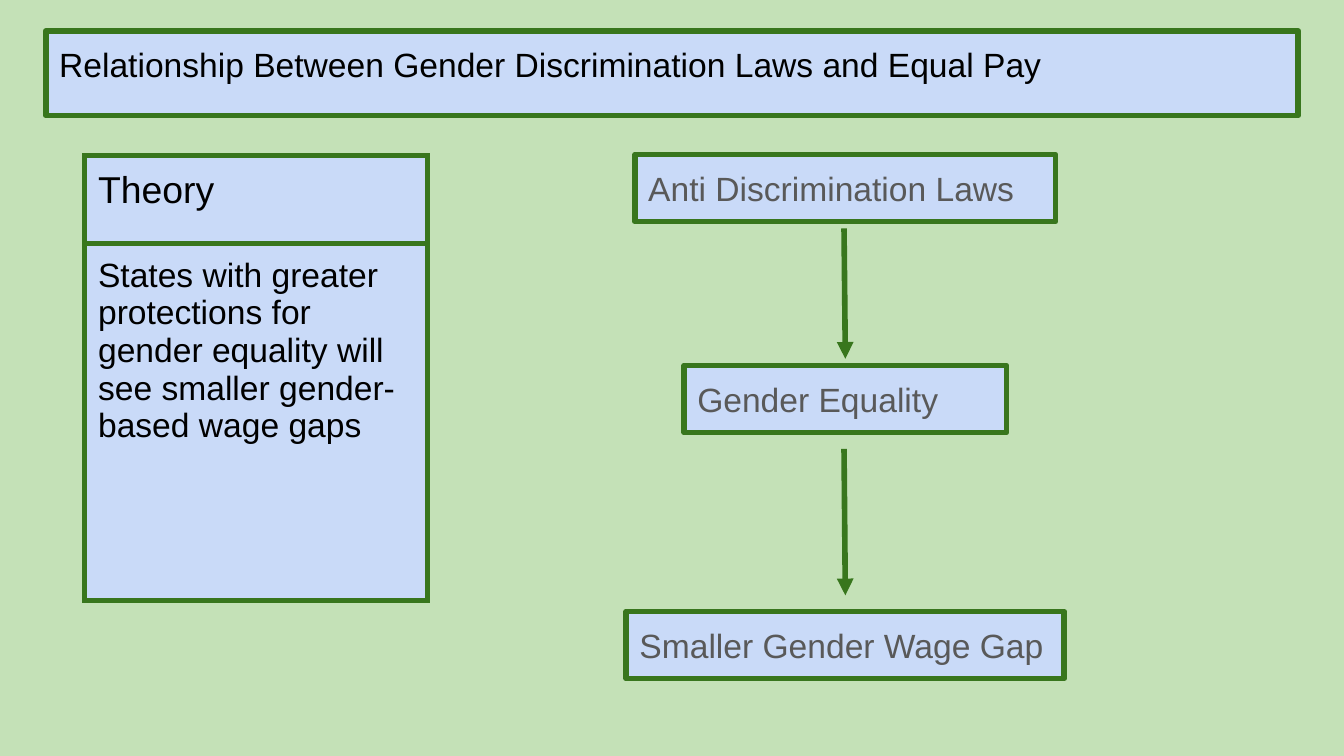
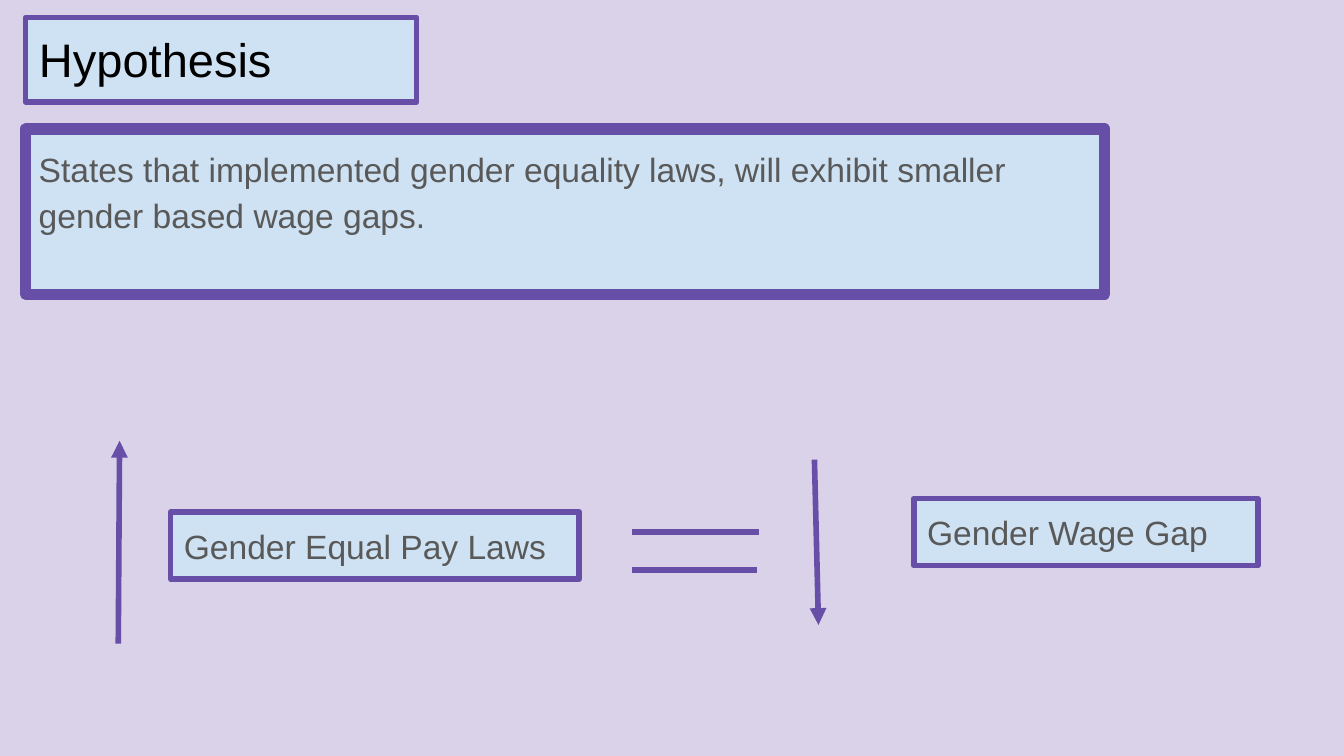
from dataclasses import dataclass

from lxml.etree import SubElement
from pptx import Presentation
from pptx.dml.color import RGBColor
from pptx.enum.shapes import MSO_CONNECTOR
from pptx.enum.text import MSO_ANCHOR, MSO_AUTO_SIZE, PP_ALIGN
from pptx.oxml import parse_xml
from pptx.oxml.ns import nsdecls, qn
from pptx.util import Inches, Pt


@dataclass
class Theme:
    back: str
    fill: str
    edge: str
    ink: str = "000000"
    soft: str = "595959"
    font: str = "Arial"
    text: float = 18
    head: float = 20
    big: float = 25.2
    line: float = 3
    thick: float = 6
    inset: float = 0.1
    high: float = 0.5


GREEN = Theme("C4E1B7", "C9DAF8", "38761D")
PURPLE = Theme("D9D2E9", "CFE2F3", "674EA7")

TOPIC = "Relationship Between Gender Discrimination Laws and Equal Pay"
THEORY = [  # text, height, size
    ("Theory", 0.65, GREEN.head),
    ("States with greater protections for gender equality will see "
     "smaller gender-based wage gaps", 2.66, GREEN.text),
]
MID = 6.29
CHAIN = [  # text, top, width
    ("Anti Discrimination Laws", 1.15, 3.13),
    ("Gender Equality", 2.72, 2.4),
    ("Smaller Gender Wage Gap", 4.55, 3.26),
]
STEPS = [(1.7, 2.67), (3.34, 4.43)]

CLAIM = ("States that implemented gender equality laws, will exhibit smaller "
         "gender based wage gaps.")
TERMS = [  # text, left, top, width
    ("Gender Equal Pay Laws", 1.27, 3.81, 3.04),
    ("Gender Wage Gap", 6.8, 3.71, 2.56),
]
TRENDS = [((0.88, 4.79), (0.89, 3.28)), ((6.06, 3.42), (6.09, 4.65))]
EQUALS = [(3.96, 5.65), (4.24, 5.63)]  # height, right end
EQ_LEFT = 4.7


def rgb(code):
    return RGBColor.from_string(code)


def paint(part, color):
    part.fill.solid()
    part.fill.fore_color.rgb = rgb(color)


def write(frame, text, size, color, theme):
    frame.text = text
    para = frame.paragraphs[0]
    para.alignment = PP_ALIGN.LEFT
    para.font.name = theme.font
    para.font.size = Pt(size)
    para.font.color.rgb = rgb(color)
    return para


def pad(part, theme):
    part.margin_left = part.margin_right = Inches(theme.inset)
    part.margin_top = part.margin_bottom = Inches(theme.inset)


def dress(shape, area, text, size, color, theme, line=None, fit=MSO_AUTO_SIZE.NONE):
    """Place a shape and give it the slide's panel look and its text."""
    shape.left, shape.top, shape.width, shape.height = map(Inches, area)
    paint(shape, theme.fill)
    shape.line.color.rgb = rgb(theme.edge)
    shape.line.width = Pt(line or theme.line)
    frame = shape.text_frame
    frame.word_wrap = True
    frame.auto_size = fit
    frame.vertical_anchor = MSO_ANCHOR.TOP
    pad(frame, theme)
    return write(frame, text, size, color, theme)


def add_box(slide, area, text, theme, **look):
    box = slide.shapes.add_textbox(*map(Inches, area))
    return dress(box, area, text, theme.text, theme.soft, theme, **look)


def add_label(slide, left, top, width, text, theme):
    add_box(slide, (left, top, width, theme.high), text, theme,
            fit=MSO_AUTO_SIZE.SHAPE_TO_FIT_TEXT)


def add_line(slide, start, end, theme, arrow=True):
    line = slide.shapes.add_connector(
        MSO_CONNECTOR.STRAIGHT, *map(Inches, (*start, *end)))
    line.line.color.rgb = rgb(theme.edge)
    line.line.width = Pt(theme.line)
    props = line._element.spPr
    if arrow:
        SubElement(props.find(qn("a:ln")), qn("a:tailEnd"), type="triangle")
    SubElement(props, qn("a:effectLst"))


def add_edges(cell, theme):
    props = cell._tc.get_or_add_tcPr()
    for spot, side in enumerate("LRTB"):
        props.insert(spot, parse_xml(
            f'<a:ln{side} {nsdecls("a")} w="{Pt(theme.line)}"><a:solidFill>'
            f'<a:srgbClr val="{theme.edge}"/></a:solidFill></a:ln{side}>'))


def add_panel(slide, left, top, width, rows, theme):
    high = sum(row[1] for row in rows)
    table = slide.shapes.add_table(
        len(rows), 1, *map(Inches, (left, top, width, high))).table
    table.first_row = table.horz_banding = False
    for spot, (text, tall, size) in enumerate(rows):
        table.rows[spot].height = Inches(tall)
        cell = table.cell(spot, 0)
        pad(cell, theme)
        paint(cell, theme.fill)
        add_edges(cell, theme)
        write(cell.text_frame, text, size, theme.ink, theme)


def add_slide(deck, title, area, size, theme):
    slide = deck.slides.add_slide(deck.slide_layouts.get_by_name("Title Only"))
    paint(slide.background, theme.back)
    dress(slide.shapes.title, area, title, size, theme.ink, theme)
    return slide


def show_theory(deck):
    slide = add_slide(deck, TOPIC, (0.34, 0.23, 9.32, 0.63), GREEN.text, GREEN)
    add_panel(slide, 0.63, 1.16, 2.55, THEORY, GREEN)
    for text, top, width in CHAIN:
        add_label(slide, MID - width / 2, top, width, text, GREEN)
    for top, end in STEPS:
        add_line(slide, (MID - 0.01, top), (MID, end), GREEN)


def show_guess(deck):
    slide = add_slide(deck, "Hypothesis", (0.19, 0.13, 2.91, 0.63),
                      PURPLE.big, PURPLE)
    para = add_box(slide, (0.19, 0.96, 8.03, 1.23), CLAIM, PURPLE,
                   line=PURPLE.thick)
    para.line_spacing = 1.15
    para.space_after = Pt(12)
    for text, left, top, width in TERMS:
        add_label(slide, left, top, width, text, PURPLE)
    for start, end in TRENDS:
        add_line(slide, start, end, PURPLE)
    for top, right in EQUALS:
        add_line(slide, (EQ_LEFT, top), (right, top), PURPLE, arrow=False)


def main():
    deck = Presentation()
    deck.slide_width = Inches(10)
    deck.slide_height = deck.slide_width * 9 // 16
    show_theory(deck)
    show_guess(deck)
    deck.save("out.pptx")


if __name__ == "__main__":
    main()
